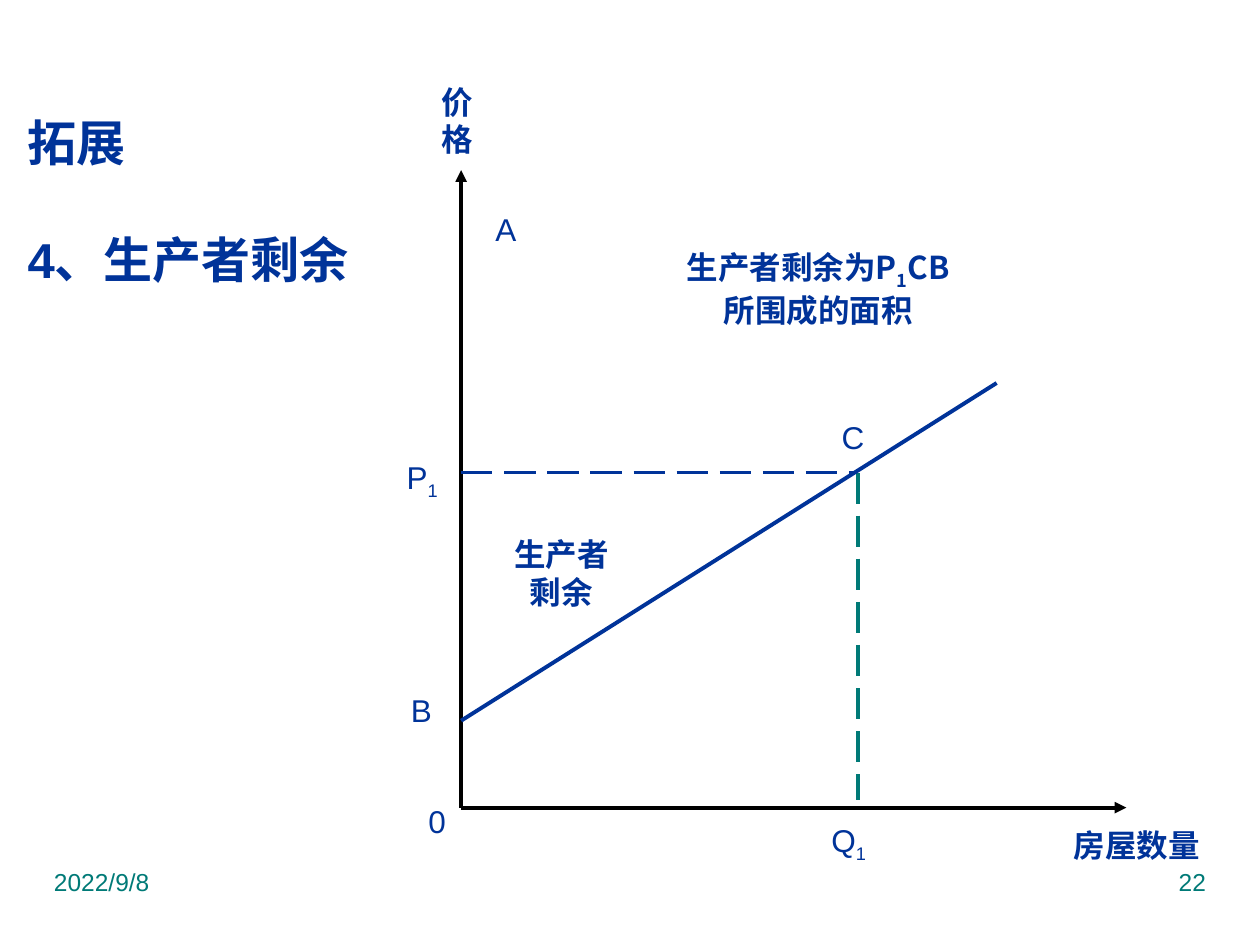
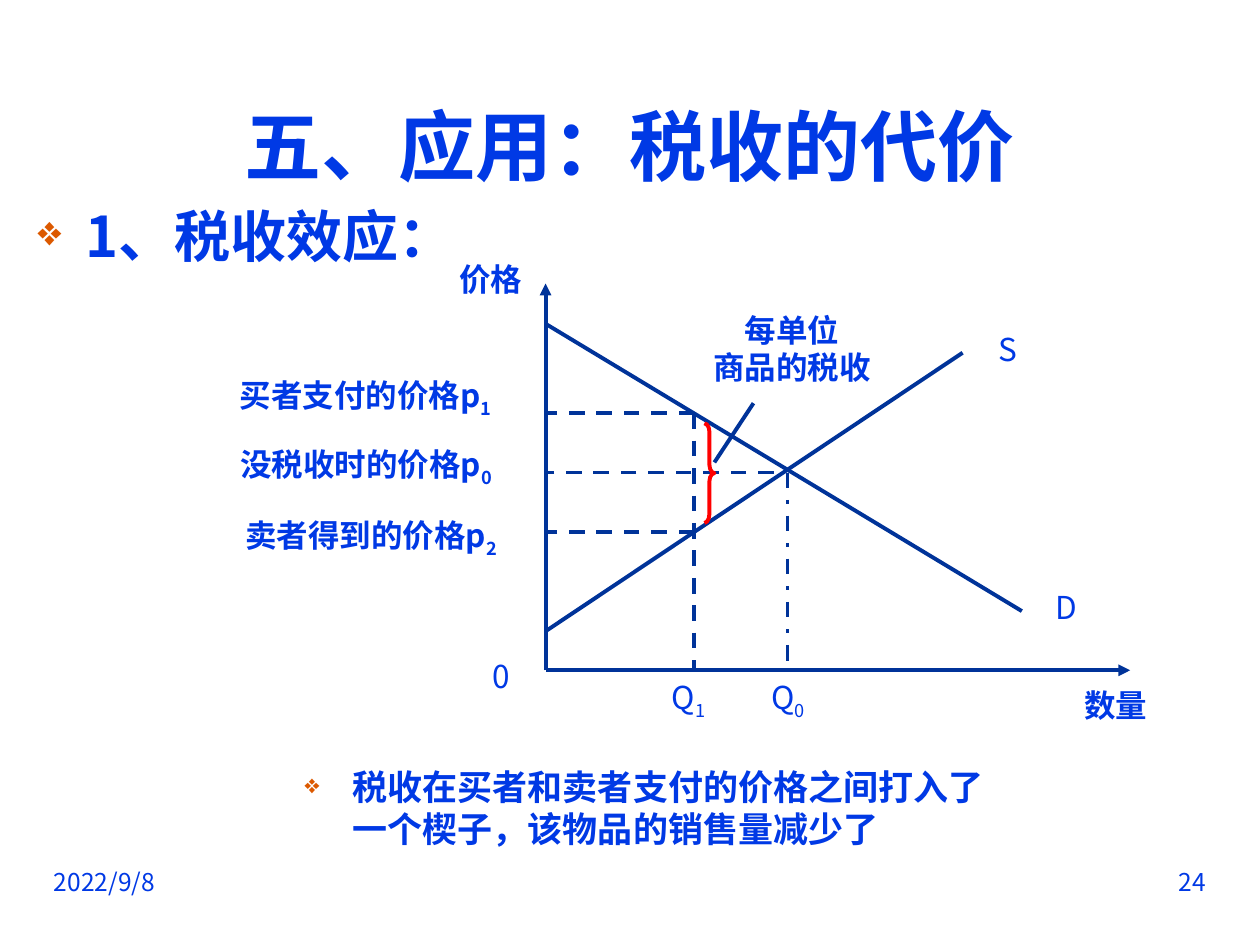
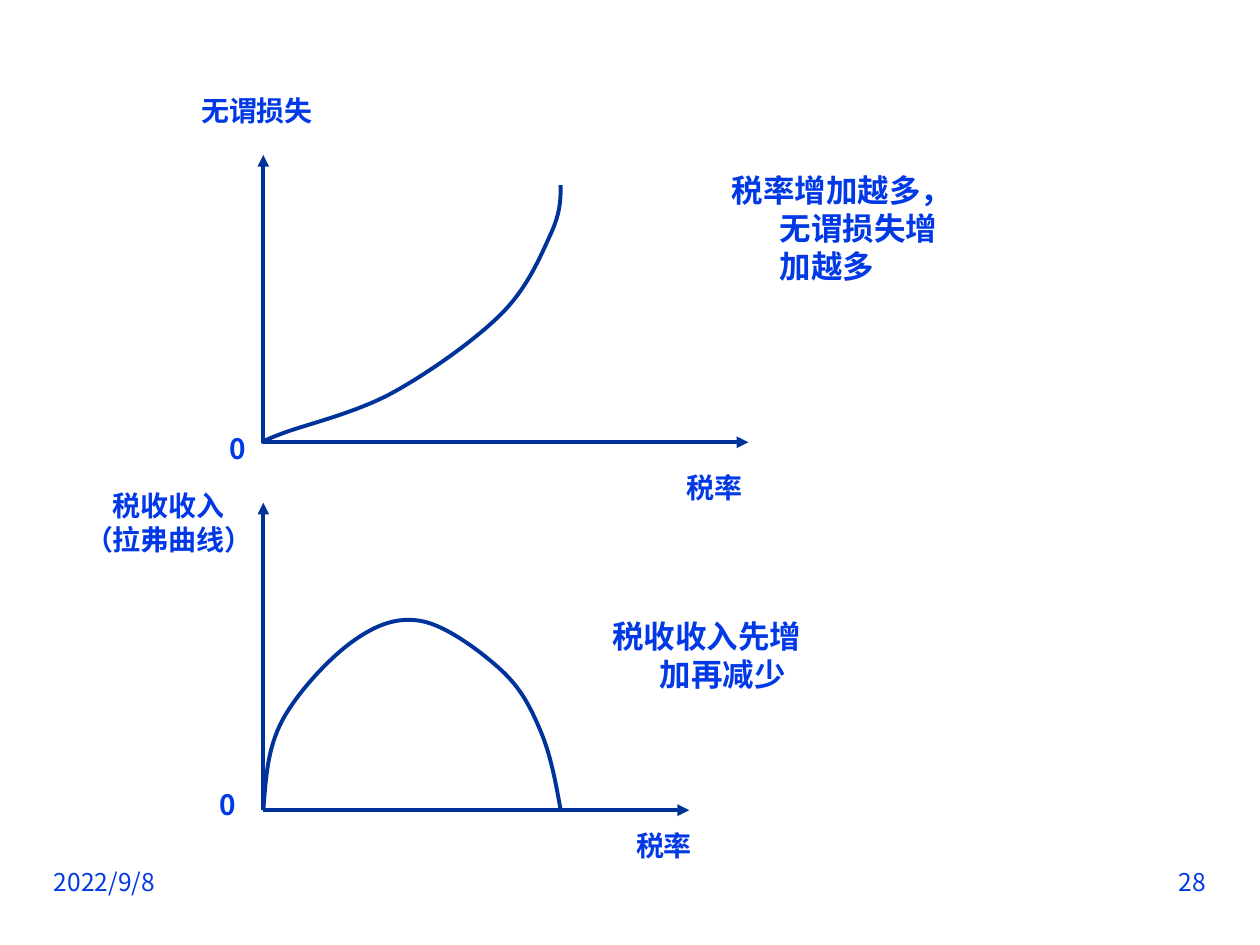
from dataclasses import dataclass

from lxml import etree
from pptx import Presentation
from pptx.dml.color import RGBColor
from pptx.enum.dml import MSO_LINE
from pptx.enum.shapes import MSO_CONNECTOR, MSO_SHAPE
from pptx.enum.text import MSO_ANCHOR, PP_ALIGN
from pptx.oxml.ns import qn
from pptx.util import Inches, Pt

NAVY = RGBColor(0x00, 0x33, 0x99)
BLUE = RGBColor(0x00, 0x39, 0xE5)
TEAL = RGBColor(0x00, 0x7A, 0x77)
RED = RGBColor(0xFF, 0x00, 0x00)
BLACK = RGBColor(0x00, 0x00, 0x00)
BULLET_COLOR = "DC5900"

LEFT, CENTER, RIGHT = PP_ALIGN.LEFT, PP_ALIGN.CENTER, PP_ALIGN.RIGHT
TOP, MIDDLE = MSO_ANCHOR.TOP, MSO_ANCHOR.MIDDLE
DASH, LONG_DASH, DASH_DOT = MSO_LINE.DASH, MSO_LINE.LONG_DASH, MSO_LINE.DASH_DOT
STRAIGHT = MSO_CONNECTOR.STRAIGHT
RIGHT_BRACE, ELLIPSE = MSO_SHAPE.RIGHT_BRACE, MSO_SHAPE.OVAL

SLIDE_WIDTH, SLIDE_HEIGHT = Inches(10), Inches(7.5)
COLUMNS, ROWS = 20, 15
LINE_WIDTH = Pt(2.25)
HANGING = Inches(0.38)
CJK_FONT = "Noto Sans CJK SC"
BULLET_FONT = "OpenSymbol"


@dataclass
class Style:
    """Look of a piece of text."""
    font: str
    color: RGBColor
    size: int = 18
    bold: bool = False


@dataclass
class Box:
    """Area in grid columns and rows."""
    left: float
    top: float
    width: float
    height: float


def across(columns):
    """Convert grid columns to a length."""
    return round(SLIDE_WIDTH * columns / COLUMNS)


def down(rows):
    """Convert grid rows to a length."""
    return round(SLIDE_HEIGHT * rows / ROWS)


def place(box):
    """Return the position and size of a box as lengths."""
    return across(box.left), down(box.top), across(box.width), down(box.height)


def fill_paragraph(paragraph, text, style, align):
    """Write text in which an underscore lowers the next character."""
    base, *lowered = text.split("_")
    paragraph.text = base
    paragraph.alignment = align
    for part in lowered:
        subscript = paragraph.add_run()
        subscript.text = part[0]
        subscript.font._element.set("baseline", "-25000")
        if part[1:]:
            paragraph.add_run().text = part[1:]
    for run in paragraph.runs:
        run.font.size = Pt(style.size)
        run.font.bold = style.bold
        run.font.color.rgb = style.color
        run.font.name = style.font
        east_asian = etree.SubElement(run.font._element, qn("a:ea"))
        east_asian.set("typeface", CJK_FONT)


def write(frame, text, style, align=LEFT, anchor=TOP, wrap=True):
    """Fill a text frame with one paragraph per line of text."""
    frame.word_wrap = wrap
    frame.vertical_anchor = anchor
    frame.text = text
    for paragraph, line in zip(frame.paragraphs, text.split("\n")):
        fill_paragraph(paragraph, line, style, align)


def add_text(slide, box, text, style, *layout):
    """Add a text box and return its frame."""
    frame = slide.shapes.add_textbox(*place(box)).text_frame
    write(frame, text, style, *layout)
    return frame


def write_label(frame, text, style):
    """Centre text in a frame without margins."""
    write(frame, text, style, CENTER, MIDDLE, False)
    frame.margin_left = frame.margin_right = 0
    frame.margin_top = frame.margin_bottom = 0


def add_note(slide, box, text, style, bulleted=False):
    """Add a paragraph with a hanging indent and an optional bullet."""
    properties = add_text(slide, box, text, style).paragraphs[0]._p.get_or_add_pPr()
    properties.set("marL", str(HANGING))
    properties.set("indent", str(-HANGING))
    if bulleted:
        color = etree.SubElement(properties, qn("a:buClr"))
        etree.SubElement(color, qn("a:srgbClr")).set("val", BULLET_COLOR)
        etree.SubElement(properties, qn("a:buSzPct")).set("val", "75000")
        etree.SubElement(properties, qn("a:buFont")).set("typeface", BULLET_FONT)
        etree.SubElement(properties, qn("a:buChar")).set("char", "❖")


def add_footer(slide, number, style):
    """Add the date and the page number."""
    add_text(slide, Box(0.66, 13.66, 5, 1.04), "2022/9/8", style)
    add_text(slide, Box(14.34, 13.66, 5, 1.04), number, style, RIGHT)


class Plot:
    """Diagram whose points count columns right of and rows above its origin."""

    def __init__(self, slide, box, axis_color=NAVY):
        """Draw both axes along the left and bottom of the box."""
        self.slide, self.box = slide, box
        for end in ((box.width, 0), (0, box.height)):
            self.line((0, 0), end, axis_color, arrow=True)

    def point(self, x, y):
        """Return the slide position of a plot point."""
        return across(self.box.left + x), down(self.box.top + self.box.height - y)

    def around(self, x, y, width, height):
        """Return the box centred on a plot point."""
        bottom = self.box.top + self.box.height
        return Box(self.box.left + x - width / 2, bottom - y - height / 2, width, height)

    def line(self, start, end, color=NAVY, dash=None, arrow=False):
        """Join two plot points."""
        line = self.slide.shapes.add_connector(
            STRAIGHT, *self.point(*start), *self.point(*end))
        line.line.color.rgb = color
        line.line.width = LINE_WIDTH
        if dash:
            line.line.dash_style = dash
        if arrow:
            tip = etree.SubElement(line.line._get_or_add_ln(), qn("a:tailEnd"))
            tip.set("type", "triangle")
        etree.SubElement(line._element.spPr, qn("a:effectLst"))

    def labels(self, entries, style):
        """Centre each text on its plot point."""
        for text, *area in entries:
            label = self.slide.shapes.add_textbox(*place(self.around(*area)))
            write_label(label.text_frame, text, style)

    def round_label(self, text, area, style):
        """Centre text in an invisible ellipse."""
        ellipse = self.slide.shapes.add_shape(ELLIPSE, *place(self.around(*area)))
        ellipse.shadow.inherit = False
        ellipse.fill.background()
        ellipse.line.fill.background()
        write_label(ellipse.text_frame, text, style)

    def outline(self, shape, color):
        """Leave a shape unfilled with a plain line."""
        shape.shadow.inherit = False
        shape.fill.background()
        shape.line.color.rgb = color
        shape.line.width = LINE_WIDTH

    def curve(self, knots):
        """Draw a smooth curve between the outer two knots, which only steer it."""
        start, *controls = [self.point(*position) for position in spline(knots)]
        builder = self.slide.shapes.build_freeform(*start)
        builder.add_line_segments(controls, close=False)
        curve = builder.convert_to_shape()
        segments = list(curve._element.iter(qn("a:lnTo")))
        for first in range(0, len(segments), 3):
            bend = etree.Element(qn("a:cubicBezTo"))
            segments[first].addprevious(bend)
            for segment in segments[first:first + 3]:
                bend.append(segment[0])
                segment.getparent().remove(segment)
        self.outline(curve, NAVY)

    def brace(self, area):
        """Draw the red brace that spans the tax."""
        brace = self.slide.shapes.add_shape(RIGHT_BRACE, *place(self.around(*area)))
        brace.adjustments[0] = 0.84
        brace.adjustments[1] = 0.5
        self.outline(brace, RED)


def spline(knots):
    """Return the start and Bezier controls of a Catmull-Rom spline."""
    points = [knots[1]]
    for before, start, end, after in zip(knots, knots[1:], knots[2:], knots[3:]):
        points.append(tuple(b + (c - a) / 6 for a, b, c in zip(before, start, end)))
        points.append(tuple(c - (d - b) / 6 for b, c, d in zip(start, end, after)))
        points.append(end)
    return points


def producer_surplus_plot(slide, box):
    """Draw the supply line and the producer surplus."""
    plain = Style("Arial", NAVY)
    strong = Style("Arial", NAVY, bold=True)
    plot = Plot(slide, box, BLACK)
    sale = (6.3, 5.32)
    plot.line((0, sale[1]), sale, dash=LONG_DASH)
    plot.line(sale, (sale[0], 0.12), TEAL, LONG_DASH)
    plot.line((0, 1.38), (8.5, 6.74))
    plot.labels([
        ("A", 0.71, 9.18, 0.78, 0.72),
        ("B", -0.63, 1.55, 0.94, 0.94),
        ("C", 6.22, 5.89, 0.8, 0.74),
        ("P_1", -0.62, 5.21, 0.64, 1.18),
        ("Q_1", 6.15, -0.55, 0.94, 1.02),
    ], plain)
    plot.round_label("0", (-0.38, -0.21, 0.8, 1.02), plain)
    plot.labels([
        ("价\n格", -0.07, 10.91, 1.1, 1.42),
        ("生产者\n剩余", 1.59, 3.73, 1.58, 1.62),
        ("房屋数量", 10.72, -0.59, 2.84, 0.78),
    ], strong)
    plot.labels([("生产者剩余为P_1CB\n所围成的面积", 5.67, 8.24, 6.62, 2.04)],
                Style(CJK_FONT, NAVY, bold=True))


def tax_effect_plot(slide, box):
    """Draw supply, demand and the wedge of the tax."""
    plain = Style(CJK_FONT, BLUE)
    strong = Style(CJK_FONT, BLUE, bold=True)
    plot = Plot(slide, box)
    taxed, untaxed = 2.36, 3.84
    buyer_price, free_price, seller_price = 4.08, 3.14, 2.2
    plot.line((0, 5.5), (7.56, 0.94))
    plot.line((0, 0.62), (6.62, 5.04))
    plot.line((taxed, buyer_price), (taxed, 0), dash=DASH)
    for price, end in ((seller_price, taxed), (buyer_price, taxed), (free_price, 3.62)):
        plot.line((end, price), (0, price), dash=DASH)
    plot.line((untaxed, free_price), (untaxed, 0), dash=DASH_DOT)
    plot.line((3.3, 4.24), (2.68, 3.3))
    plot.brace((2.6, 3.13, 0.16, 1.58))
    plot.labels([
        ("D", 8.27, 1.01, 1.1, 0.78),
        ("S", 7.33, 5.11, 1.1, 0.78),
        ("0", -0.71, -0.09, 1.1, 0.78),
        ("Q_1", 2.27, -0.47, 0.78, 0.94),
        ("Q_0", 3.85, -0.47, 0.78, 0.94),
    ], plain)
    plot.labels([
        ("数量", 9.05, -0.55, 1.1, 0.78),
        ("价格", -0.87, 6.21, 1.1, 0.78),
        ("买者支付的价格p_1", -2.86, 4.33, 5.68, 1.1),
        ("没税收时的价格p_0", -2.85, 3.23, 5.38, 1.1),
        ("卖者得到的价格p_2", -2.77, 2.11, 5.54, 1.1),
        ("每单位\n商品的税收", 3.91, 5.11, 2.66, 1.7),
    ], strong)


def tax_rate_plot(slide, box, knots, labels):
    """Draw one quantity against the tax rate."""
    plot = Plot(slide, box)
    plot.curve(knots)
    plot.labels(labels, Style(CJK_FONT, BLUE, 16, True))


def producer_surplus_slide(slide):
    """Build the slide on producer surplus."""
    add_footer(slide, "22", Style("Arial", TEAL, 14))
    producer_surplus_plot(slide, Box(7.32, 2.7, 10.56, 10.12))
    heading = add_text(slide, Box(0.24, 1.68, 6.3, 3), "拓展\n4、生产者剩余",
                       Style("Arial", NAVY, 28, True), LEFT, MIDDLE, False)
    heading.paragraphs[1].space_before = Pt(33.5)


def tax_effect_slide(slide):
    """Build the slide on the effect of a tax."""
    add_footer(slide, "24", Style(CJK_FONT, BLUE, 14))
    add_text(slide, Box(0.66, 1.34, 18.68, 1.92), "五、应用：税收的代价",
             Style(CJK_FONT, BLUE, 44, True), CENTER, MIDDLE)
    add_note(slide, Box(0.4, 3.1, 6.14, 1.92), "1、税收效应：",
             Style(CJK_FONT, BLUE, 32, True), bulleted=True)
    tax_effect_plot(slide, Box(8.66, 4.5, 9.28, 6.14))
    add_note(slide, Box(4.64, 12.06, 11.18, 1.92),
             "税收在买者和卖者支付的价格之间打入了一个楔子，该物品的销售量减少了",
             Style(CJK_FONT, BLUE, 20, True), bulleted=True)


def tax_rate_slide(slide):
    """Build the slide on deadweight loss and tax revenue."""
    note = Style(CJK_FONT, BLUE, bold=True)
    add_footer(slide, "28", Style(CJK_FONT, BLUE, 14))
    add_note(slide, Box(11.42, 2.62, 4.1, 2.36), "税率增加越多，无谓损失增加越多", note)
    tax_rate_plot(
        slide, Box(4.18, 2.46, 7.7, 4.56),
        [(0.42, 0.14), (0, 0), (0.3, 0.14), (2.04, 0.78), (3.78, 2.04),
         (4.56, 3.3), (4.72, 4.08), (4.56, 4.62)],
        [("税率", 7.16, -0.71, 2.04, 0.78),
         ("无谓损失", -0.1, 5.27, 2.04, 0.78),
         ("0", -0.41, -0.09, 0.78, 0.78)])
    tax_rate_plot(
        slide, Box(4.18, 7.98, 6.76, 4.88),
        [(0.06, -1.58), (0, 0), (0.3, 1.42), (1.42, 2.68), (2.52, 3),
         (3.78, 2.22), (4.4, 1.26), (4.72, 0), (4.88, -1.5)],
        [("税率", 6.36, -0.55, 2.04, 0.78),
         ("税收收入\n（拉弗曲线）", -1.5, 4.57, 2.8, 1.58),
         ("0", -0.57, 0.09, 0.78, 0.78)])
    add_note(slide, Box(9.52, 9.7, 3.46, 1.74), "税收收入先增加再减少", note)


def main():
    """Build and save the presentation."""
    deck = Presentation()
    deck.slide_width, deck.slide_height = SLIDE_WIDTH, SLIDE_HEIGHT
    blank = deck.slide_layouts[6]
    for build in (producer_surplus_slide, tax_effect_slide, tax_rate_slide):
        build(deck.slides.add_slide(blank))
    deck.save("out.pptx")


if __name__ == "__main__":
    main()
